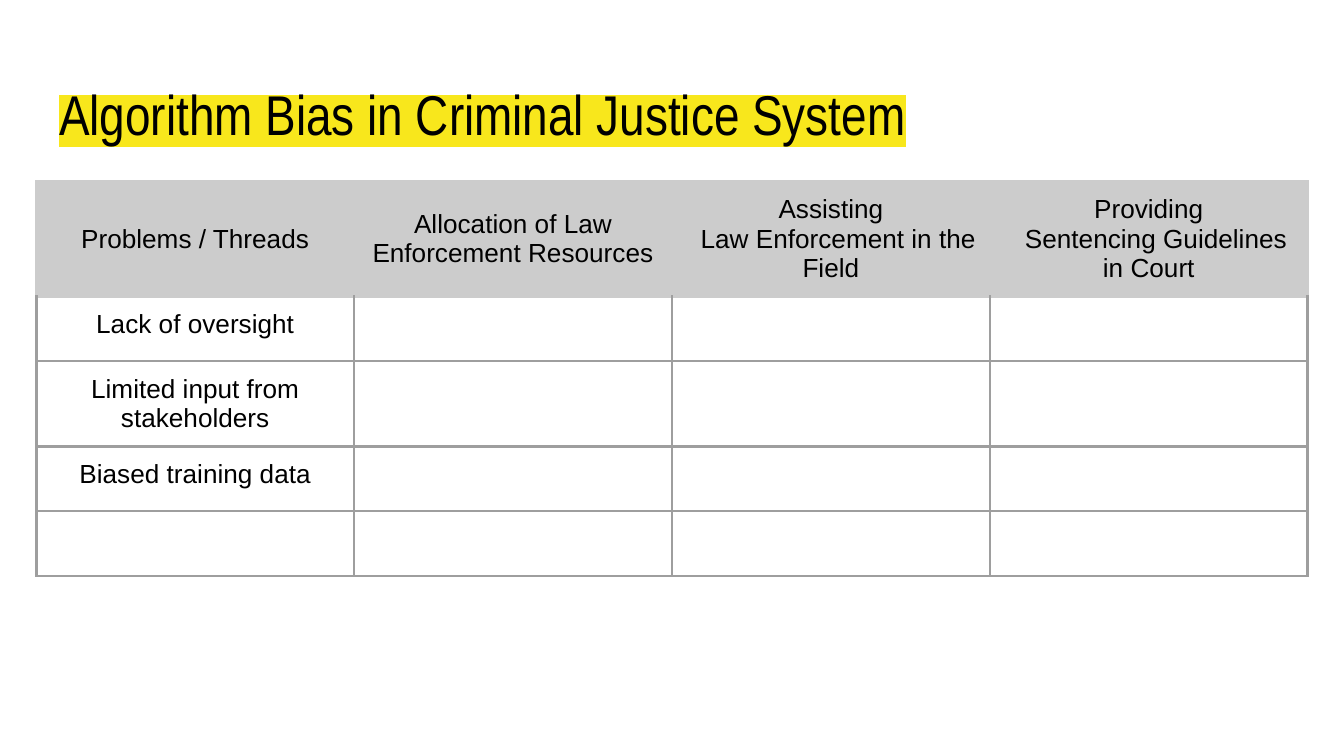
"""Build the slide on algorithm bias in the criminal justice system."""
from lxml.etree import SubElement
from pptx import Presentation
from pptx.dml.color import RGBColor
from pptx.enum.text import MSO_ANCHOR as Anchor, PP_ALIGN as Align
from pptx.oxml.ns import qn
from pptx.util import Inches, Pt

BLACK = RGBColor(0x00, 0x00, 0x00)
YELLOW = RGBColor(0xF8, 0xE7, 0x1C)
HEADER_GREY = RGBColor(0xCC, 0xCC, 0xCC)
LINE_GREY = RGBColor(0x9E, 0x9E, 0x9E)
INSET = Inches(0.1)
COLUMN, ROW = Inches(9.46 / 4), Inches(0.42)
ROWS = [
    ["Problems / Threads", "Allocation of Law Enforcement Resources",
     "Assisting\nLaw Enforcement in the Field",
     "Providing\nSentencing Guidelines in Court"],
    ["Lack of oversight", "", "", ""],
    ["Limited input from stakeholders", "", "", ""],
    ["Biased training data", "", "", ""],
    ["", "", "", ""],
]


def add_color(parent, tag, color):
    holder = SubElement(parent, qn(tag))
    SubElement(holder, qn("a:srgbClr"), val=str(color))


def set_border(cell, side, color):
    line = SubElement(cell._tc.get_or_add_tcPr(), qn(f"a:{side}"), w=str(Pt(1.5)))
    add_color(line, "a:solidFill", color)


deck = Presentation()
deck.slide_width = Inches(10)
deck.slide_height = deck.slide_width * 9 // 16
slide = deck.slides.add_slide(deck.slide_layouts[5])

title = slide.shapes.title
title.left, title.top = Inches(0.34), Inches(0.49)
title.width, title.height = Inches(9.32), Inches(0.63)
heading = title.text_frame
heading.text = "Algorithm Bias in Criminal Justice System"
heading.vertical_anchor = Anchor.TOP
heading.margin_left = heading.margin_right = INSET
heading.margin_top = heading.margin_bottom = INSET
headline = heading.paragraphs[0]
headline.alignment = Align.LEFT
headline_font = headline.runs[0].font
headline_font.size = Pt(30)
headline_font.color.rgb = BLACK
add_color(headline_font._element, "a:highlight", YELLOW)
headline_font.name = "Arial Narrow"

columns = len(ROWS[0])
problems = slide.shapes.add_table(
    len(ROWS), columns, Inches(0.27), Inches(1.35), COLUMN * columns, ROW * len(ROWS)).table
for column in problems.columns:
    column.width = COLUMN
for row in problems.rows:
    row.height = ROW

for r, texts in enumerate(ROWS):
    for c, text in enumerate(texts):
        cell = problems.cell(r, c)
        cell.margin_left = cell.margin_right = INSET
        cell.margin_top = cell.margin_bottom = INSET
        cell.vertical_anchor = Anchor.MIDDLE if r == 0 else Anchor.TOP
        for side in ("lnL", "lnR", "lnT", "lnB"):
            beside_header = r == 0 or (r == 1 and side == "lnT")
            set_border(cell, side, HEADER_GREY if beside_header else LINE_GREY)
        if r == 0:
            cell.fill.solid()
            cell.fill.fore_color.rgb = HEADER_GREY
        else:
            cell.fill.background()
        if not text:
            blank = cell.text_frame.paragraphs[0]._p
            blank_font = SubElement(blank, qn("a:endParaRPr"), sz="1800")
            SubElement(blank_font, qn("a:latin"), typeface="Arial")
            continue
        cell.text = text
        for i, paragraph in enumerate(cell.text_frame.paragraphs):
            paragraph.alignment = Align.CENTER
            if i:
                paragraph._p.get_or_add_pPr().set("indent", str(Pt(7.8)))
            paragraph.font.size = Pt(14)
            paragraph.font.name = "Arial"
            paragraph.font.bold = False
            paragraph.font.color.rgb = BLACK

deck.save("out.pptx")
